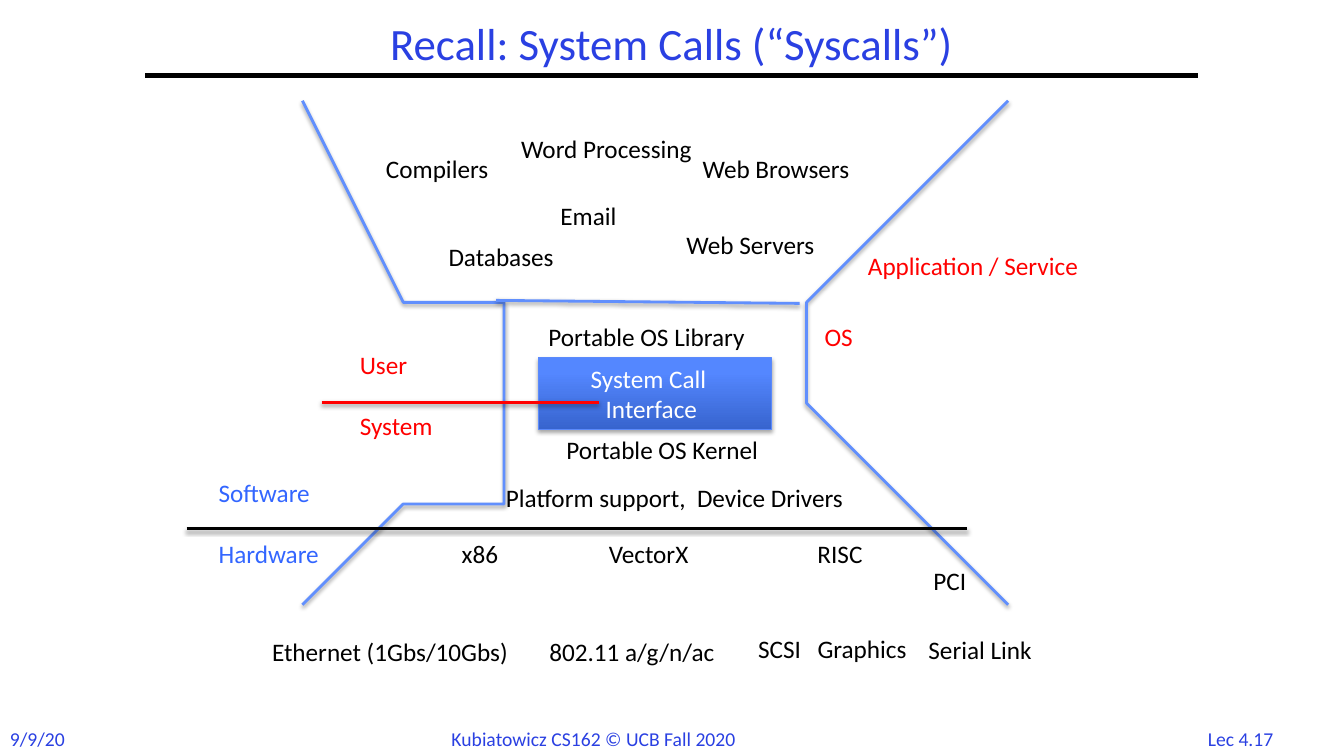
import pptx
import pptx.dml.color
import pptx.enum.shapes
import pptx.enum.text
import pptx.oxml
import pptx.oxml.ns
import pptx.util

Inches = pptx.util.Inches
Pt = pptx.util.Pt
ALIGN = pptx.enum.text.PP_ALIGN
FONT = "Calibri"
COLORS = {
    "title": "2A40E2", "text": "000000", "label": "3366FF", "red": "FF0000",
    "white": "FFFFFF", "curve": "618FFD", "edge": "5B8AFB",
    "box_dark": "3764CE", "box_light": "5487FF",
}

LABELS = {
    "text": [
        ("Compilers", 1.93, 0.27, 1.34), ("Web Servers", 4.91, 1.03, 1.66),
        ("Web Browsers", 5.07, 0.27, 1.84), ("Databases", 2.55, 1.14, 1.41),
        ("Email", 3.66, 0.74, 0.83), ("Word Processing", 3.27, 0.07, 2.12),
        ("Portable OS Library", 3.54, 1.94, 2.42),
        ("Portable OS Kernel", 3.72, 3.06, 2.38),
        ("Platform support,  Device Drivers", 3.12, 3.54, 3.9),
        ("x86", 2.68, 4.09, 0.61), ("RISC", 6.21, 4.09, 0.76),
        ("VectorX", 4.14, 4.09, 1.27),
        ("Ethernet (1Gbs/10Gbs)", 0.8, 5.06, 2.81),
        ("802.11 a/g/n/ac", 3.55, 5.06, 1.92), ("SCSI", 5.62, 5.03, 0.79),
        ("Serial Link", 7.31, 5.04, 1.55), ("Graphics", 6.21, 5.03, 1.21),
        ("PCI", 7.36, 4.36, 0.62),
    ],
    "label": [("Hardware", 0.27, 4.09, 1.3), ("Software", 0.27, 3.49, 1.2)],
    "red": [
        ("System", 1.67, 2.82, 1.04), ("User", 1.67, 2.22, 0.73),
        ("OS", 6.28, 1.94, 0.57), ("Application / Service", 6.71, 1.23, 2.49),
    ],
}
LEFT_CURVE = [(1.37, 0.1), (2.57, 1.37), (3.24, 2.21), (3.49, 2.67),
              (3.54, 2.98), (3.29, 3.38), (2.46, 4.05), (0.92, 4.98)]
MIRROR_SUM = 9.38
MIRROR_RISE = 0.1
DIVIDERS = [("curve", 3.12, 1.78, 6.13, 1.81), ("text", 0.05, 4.04, 7.79, 4.04),
            ("red", 1.39, 2.79, 4.14, 2.79)]


def rgb(name):
    """Return the named colour."""
    return pptx.dml.color.RGBColor.from_string(COLORS[name])


def set_effects(shape, opacity=0, distance=1.6):
    """Give a shape a soft shadow below it, or none at zero opacity."""
    namespace = pptx.oxml.ns.nsdecls("a")
    shadow = (
        f'<a:outerShdw blurRad="{Pt(3.1)}" dist="{Pt(distance)}" dir="5400000" rotWithShape="0">'
        f'<a:srgbClr val="000000"><a:alpha val="{opacity * 1000}"/></a:srgbClr></a:outerShdw>'
    ) if opacity else ""
    shape._element.spPr.append(
        pptx.oxml.parse_xml(f"<a:effectLst {namespace}>{shadow}</a:effectLst>"))


def add_text(slide, text, box, color="text", size=18, align=ALIGN.LEFT, wrap=False):
    """Add a text box and return its text frame."""
    shape = slide.shapes.add_textbox(*map(Inches, box))
    frame = shape.text_frame
    frame.word_wrap = wrap
    frame.text = text
    for paragraph in frame.paragraphs:
        paragraph.alignment = align
        paragraph.font.name = FONT
        paragraph.font.size = Pt(size)
        paragraph.font.color.rgb = rgb(color)
    return frame


def add_line(slide, start, end, color, width, opacity=0):
    """Add a straight line between two points."""
    line = slide.shapes.add_connector(
        pptx.enum.shapes.MSO_CONNECTOR.STRAIGHT, *map(Inches, (*start, *end)))
    line.line.color.rgb = rgb(color)
    line.line.width = Pt(width)
    set_effects(line, opacity)


def add_curve(slide, points):
    """Add one open side of the hourglass."""
    builder = slide.shapes.build_freeform(*points[0], scale=Inches(1))
    builder.add_line_segments(points[1:], close=False)
    curve = builder.convert_to_shape()
    curve.fill.background()
    curve.line.color.rgb = rgb("curve")
    curve.line.width = Pt(2)
    set_effects(curve, 38)


def add_header(slide, box):
    """Add the title with a rule along the bottom of its box."""
    left, top, width, height = box
    frame = add_text(slide, "Recall: System Calls (“Syscalls”)", box, "title", 32,
                     ALIGN.CENTER, True)
    frame.vertical_anchor = pptx.enum.text.MSO_ANCHOR.MIDDLE
    frame.paragraphs[0].line_spacing = 0.9
    add_line(slide, (left, top + height), (left + width, top + height), "text", 3)


def add_footer(slide, box):
    """Add the date, copyright line and page number."""
    left, top, width, height = box
    for text, offset, text_width, align in [
        ("9/9/20", 0, 0.75, ALIGN.LEFT),
        ("Kubiatowicz CS162 © UCB Fall 2020", 4.38, 3.43, ALIGN.LEFT),
        ("Lec 4.17", width - 1.51, 0.97, ALIGN.CENTER),
    ]:
        add_text(slide, text, (left + offset, top, text_width, height), "title", 14, align)


def add_interface(slide, box):
    """Add the shaded system call block with its caption."""
    left, top, width, height = box
    block = slide.shapes.add_shape(
        pptx.enum.shapes.MSO_SHAPE.RECTANGLE, *map(Inches, box))
    block.fill.gradient()
    block.fill.gradient_angle = 90
    for stop, position, color in zip(
            block.fill.gradient_stops, (0, 0.8), ("box_dark", "box_light")):
        stop.position = position
        stop.color.rgb = rgb(color)
    block.line.color.rgb = rgb("edge")
    block.line.width = Pt(0.75)
    set_effects(block, 35, 1.8)
    add_text(slide, "System Call \nInterface", (left + 0.31, top, 1.62, height),
             "white", align=ALIGN.CENTER)


def add_hourglass(slide, box):
    """Add the hourglass of software and hardware layers."""
    left, top = box[:2]
    add_interface(slide, (left + 3.54, top + 2.35, 2.31, 0.71))
    right_curve = [(MIRROR_SUM - x, y - MIRROR_RISE) for x, y in LEFT_CURVE]
    for curve in (LEFT_CURVE, right_curve):
        add_curve(slide, [(left + x, top + y) for x, y in curve])
    for color, x1, y1, x2, y2 in DIVIDERS:
        add_line(slide, (left + x1, top + y1), (left + x2, top + y2), color, 2, 38)
    for color, labels in LABELS.items():
        for text, x, y, width in labels:
            add_text(slide, text, (left + x, top + y, width, 0.4), color)


def main():
    """Build and save the presentation."""
    presentation = pptx.Presentation()
    presentation.slide_width = Inches(13.33)
    presentation.slide_height = Inches(7.5)
    slide = presentation.slides.add_slide(presentation.slide_layouts[6])
    add_footer(slide, (0, 7.16, 13.33, 0.34))
    add_header(slide, (1.44, 0.17, 10.44, 0.58))
    add_hourglass(slide, (1.8, 1.2, 9.2, 5.46))
    presentation.save("out.pptx")


if __name__ == "__main__":
    main()
